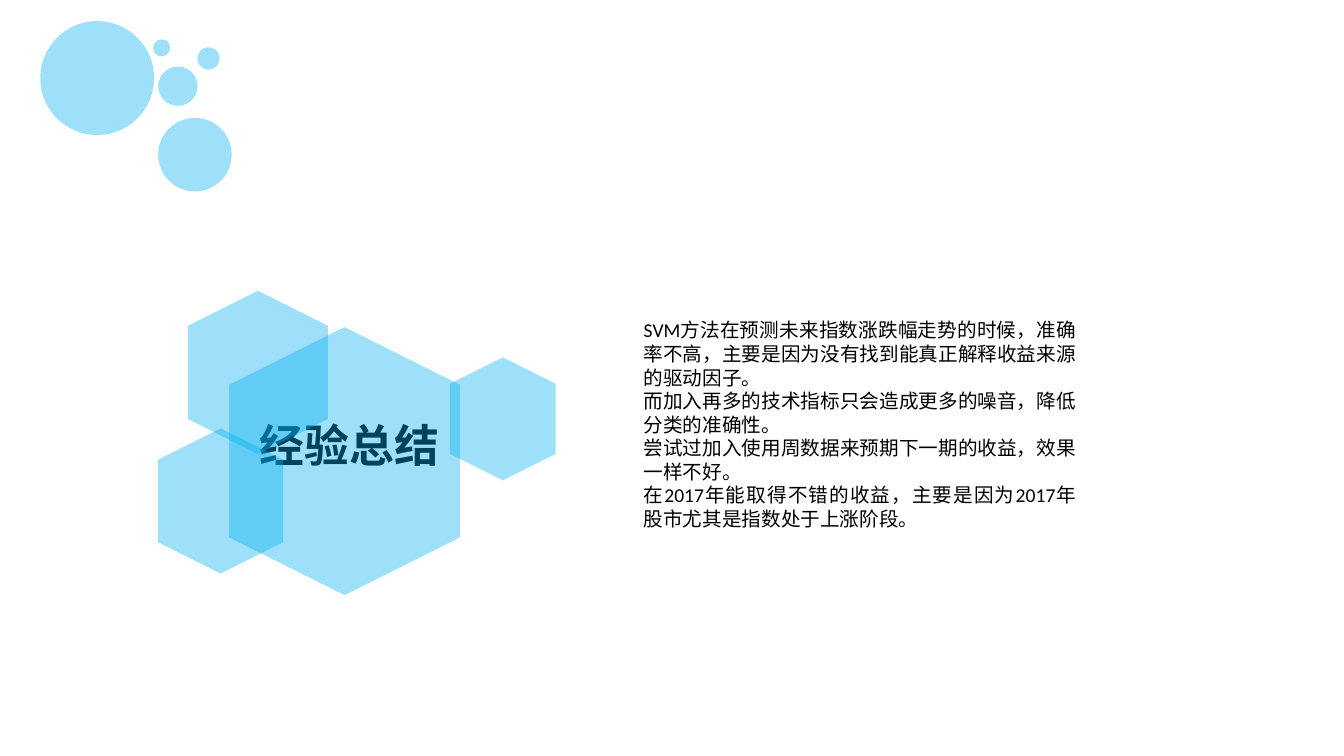
from dataclasses import dataclass

from lxml.etree import SubElement
from pptx import Presentation
from pptx.dml.color import RGBColor
from pptx.enum.shapes import MSO_SHAPE
from pptx.enum.text import MSO_ANCHOR, MSO_AUTO_SIZE, PP_ALIGN
from pptx.oxml.ns import qn
from pptx.shapes.base import BaseShape
from pptx.slide import Slide
from pptx.text.text import TextFrame
from pptx.util import Emu, Pt

PX = 9144  # 100 px to the inch
BLUE = RGBColor(0x00, 0xB0, 0xF0)
BLACK = RGBColor(0x00, 0x00, 0x00)
ALPHA = 38
TITLE = "经验总结"
LESSONS = (
    "SVM方法在预测未来指数涨跌幅走势的时候，准确率不高，主要是因为没有找到能真正解释收益来源的驱动因子。",
    "而加入再多的技术指标只会造成更多的噪音，降低分类的准确性。",
    "尝试过加入使用周数据来预期下一期的收益，效果一样不好。",
    "在2017年能取得不错的收益，主要是因为2017年股市尤其是指数处于上涨阶段。",
)


@dataclass(frozen=True)
class Box:
    left: int
    top: int
    width: int
    height: int

    def emu(self) -> tuple[Emu, ...]:
        sides = self.left, self.top, self.width, self.height
        return tuple(Emu(side * PX) for side in sides)


@dataclass(frozen=True)
class Style:
    font: str
    size: int
    bold: bool
    align: PP_ALIGN
    pad: tuple[int, int]
    spacing: float


BUBBLES = (
    Box(40, 21, 113, 113),
    Box(152, 39, 17, 17),
    Box(196, 47, 22, 22),
    Box(157, 66, 39, 39),
    Box(157, 117, 73, 73),
)
CELLS = (
    Box(175, 300, 162, 139),
    Box(147, 435, 144, 124),
    Box(438, 363, 122, 105),
    Box(209, 343, 266, 229),
)
HEAD = Style("Noto Sans CJK SC", 32, True, PP_ALIGN.CENTER, (8, 4), 0.9)
BODY = Style("Calibri", 14, False, PP_ALIGN.JUSTIFY, (10, 5), 1.0)


def tint(shape: BaseShape) -> None:
    """Fill with see-through blue, without line or shadow."""
    shape.shadow.inherit = False
    shape.line.fill.background()
    shape.fill.solid()
    shape.fill.fore_color.rgb = BLUE
    color = shape.fill._xPr.find(f".//{qn('a:srgbClr')}")
    SubElement(color, qn("a:alpha"), val=str(ALPHA * 1000))


def add_bubble(slide: Slide, box: Box) -> None:
    tint(slide.shapes.add_shape(MSO_SHAPE.OVAL, *box.emu()))


def add_cell(slide: Slide, box: Box) -> None:
    cell = slide.shapes.add_shape(MSO_SHAPE.HEXAGON, *box.emu())
    cell.adjustments[0] = 0.25
    cell.rotation = 90
    tint(cell)


def write(frame: TextFrame, text: str, style: Style) -> None:
    frame.text = text
    frame.word_wrap = True
    frame.auto_size = MSO_AUTO_SIZE.SHAPE_TO_FIT_TEXT
    frame.vertical_anchor = MSO_ANCHOR.TOP
    across, down = (Emu(pad * PX) for pad in style.pad)
    frame.margin_left = frame.margin_right = across
    frame.margin_top = frame.margin_bottom = down
    for para in frame.paragraphs:
        para.alignment = style.align
        para.line_spacing = style.spacing
        for run in para.runs:
            font = run.font
            font.size = Pt(style.size)
            font.bold = style.bold
            font.color.rgb = BLACK
            font.name = style.font
            SubElement(font._element, qn("a:ea"), typeface=style.font)


def main() -> None:
    deck = Presentation()
    deck.slide_width = Emu(1334 * PX)
    deck.slide_height = Emu(750 * PX)
    slide = deck.slides.add_slide(deck.slide_layouts[5])

    title = slide.shapes.title
    title.left, title.top, title.width, title.height = Box(186, 416, 322, 60).emu()
    write(title.text_frame, TITLE, HEAD)

    for box in BUBBLES:
        add_bubble(slide, box)
    for box in CELLS:
        add_cell(slide, box)

    lessons = slide.shapes.add_textbox(*Box(629, 311, 449, 244).emu())
    write(lessons.text_frame, "\n".join(LESSONS), BODY)
    deck.save("out.pptx")


if __name__ == "__main__":
    main()
